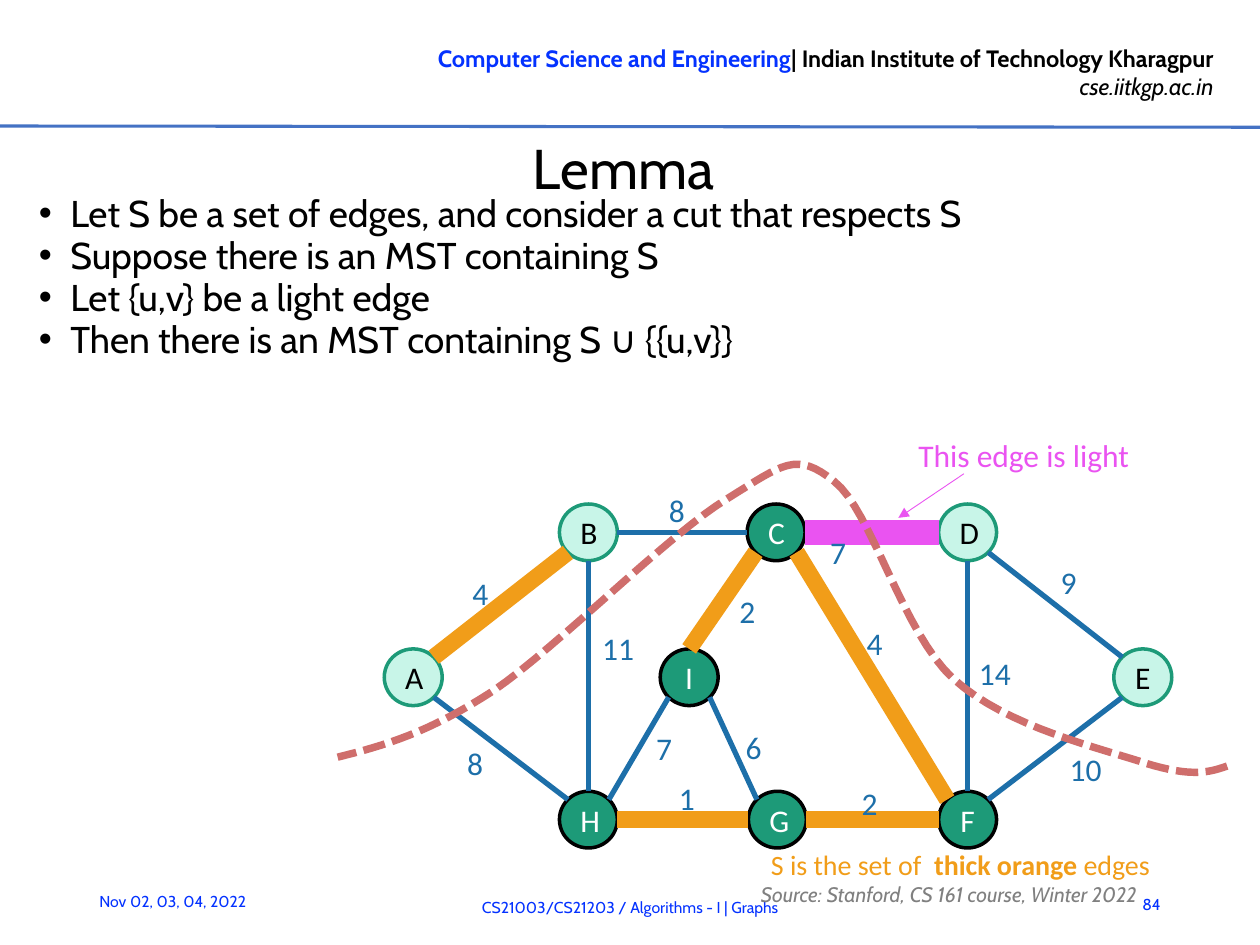
import math
from collections import namedtuple
from dataclasses import dataclass
from itertools import pairwise

from lxml import etree
from pptx import Presentation, util as u
from pptx.dml.color import RGBColor
from pptx.enum import dml, shapes, text
from pptx.oxml.ns import qn

Box = namedtuple("Box", "left top width height")
ALIGN, ANCHOR = text.PP_ALIGN, text.MSO_ANCHOR


@dataclass(frozen=True)
class Theme:
    body_font: str = "Cabin"
    graph_font: str = "Calibri"
    black: str = "000000"
    white: str = "FFFFFF"
    grey: str = "808080"
    blue: str = "0432FF"
    rule: str = "4472C4"
    green: str = "1D9A78"
    mint: str = "C8F5E8"
    edge: str = "1D6FA9"
    chosen: str = "F19D19"
    light: str = "EA53F1"
    cut: str = "CF6E6C"
    title: float = 32
    bullet: float = 21.3
    graph: float = 18
    legend: float = 16
    header: float = 13.5
    source: float = 12
    footer: float = 9


THEME = Theme()
NODE_WIDTH, NODE_HEIGHT = 0.46, 0.45
ROWS = (0.6, 1.75, 2.88)
# name: left, row, whether it lies below the cut
NODES = {
    "A": (0.37, 1, False), "B": (1.76, 0, False), "C": (3.25, 0, True),
    "D": (4.77, 0, False), "E": (6.16, 1, False), "F": (4.77, 2, True),
    "G": (3.26, 2, True), "H": (1.76, 2, True), "I": (2.56, 1, True),
}
EDGE_STYLES = {"plain": (THEME.edge, 3), "chosen": (THEME.chosen, 9.5),
               "light": (THEME.light, 14)}
# ends, weight, style, left and top of the weight
EDGES = [
    ("CF", 4, "chosen", 4.1, 1.5), ("CD", 7, "light", 3.81, 0.78),
    ("ED", 9, "plain", 5.64, 1.02), ("EF", 10, "plain", 5.71, 2.5),
    ("DF", 14, "plain", 4.99, 1.74), ("IG", 6, "plain", 3.14, 2.33),
    ("GF", 2, "chosen", 4.06, 2.77), ("IC", 2, "chosen", 3.09, 1.25),
    ("BC", 8, "plain", 2.53, 0.45), ("AB", 4, "chosen", 0.97, 1.11),
    ("AH", 8, "plain", 0.93, 2.46), ("GH", 1, "chosen", 2.61, 2.73),
    ("IH", 7, "plain", 2.43, 2.34), ("HB", 11, "plain", 2, 1.54),
]
# start point, then two control points and an end point for each curve
CUT = [(7.06, 2.68), (6.92, 2.73), (6.78, 2.77), (6.42, 2.66),
       (6.06, 2.54), (5.31, 2.37), (4.89, 1.99),
       (4.48, 1.62), (4.24, 0.65), (3.94, 0.42),
       (3.64, 0.18), (3.54, 0.28), (3.09, 0.56),
       (2.64, 0.83), (1.75, 1.73), (1.24, 2.08),
       (0.72, 2.42), (0.36, 2.52), (0, 2.61)]


def inches(values):
    return [u.Inches(value) for value in values]


def add_span(para, words, size, color, font=THEME.body_font, bold=False, italic=False):
    span = para.add_run()
    span.text = words
    span.font.size, span.font.name = u.Pt(size), font
    span.font.bold, span.font.italic = bold, italic
    span.font.color.rgb = RGBColor.from_string(color)


def add_text(page, box, anchor=ANCHOR.TOP, align=ALIGN.LEFT):
    """Add a wrapping text box and return its frame and first paragraph."""
    frame = page.shapes.add_textbox(*inches(box)).text_frame
    frame.word_wrap, frame.vertical_anchor = True, anchor
    frame.paragraphs[0].alignment = align
    return frame, frame.paragraphs[0]


def add_line(page, start, end, color, width):
    line = page.shapes.add_connector(shapes.MSO_CONNECTOR.STRAIGHT, *inches(start + end))
    line.line.color.rgb = RGBColor.from_string(color)
    line.line.width = u.Pt(width)
    etree.SubElement(line._element.spPr, qn("a:effectLst"))
    return line


def add_header(page, box):
    frame, para = add_text(page, box, align=ALIGN.RIGHT)
    frame.word_wrap = False
    add_span(para, "Computer Science and Engineering", THEME.header, THEME.blue, bold=True)
    add_span(para, "| Indian Institute of Technology Kharagpur", THEME.header, THEME.black,
             bold=True)
    para = frame.add_paragraph()
    para.alignment = ALIGN.RIGHT
    add_span(para, "cse.iitkgp.ac.in", THEME.header, THEME.black, italic=True)
    add_line(page, (0, 1), (10, 1.01), THEME.rule, 1.75)


def add_title(page, box, words):
    title = page.shapes.title
    title.left, title.top, title.width, title.height = inches(box)
    frame = title.text_frame
    frame.margin_left = frame.margin_right = frame.margin_bottom = 0
    frame.margin_top = u.Inches(0.01)
    frame.vertical_anchor = ANCHOR.MIDDLE
    para = frame.paragraphs[0]
    para.alignment, para.space_before = ALIGN.CENTER, u.Pt(0.7)
    add_span(para, words, THEME.title, THEME.black)


def add_bullets(page, box, lines):
    frame, para = add_text(page, box)
    for number, words in enumerate(lines):
        para = frame.add_paragraph() if number else para
        para.line_spacing = u.Pt(20)
        para.space_before = para.space_after = u.Pt(2)
        props = para._p.get_or_add_pPr()
        props.set("marL", str(u.Inches(0.25)))
        props.set("indent", str(u.Inches(-0.25)))
        etree.SubElement(props, qn("a:buFont"), typeface="Arial")
        etree.SubElement(props, qn("a:buChar"), char="•")
        add_span(para, words, THEME.bullet, THEME.black)


def add_node(page, box, name, below_cut):
    node = page.shapes.add_shape(shapes.MSO_SHAPE.OVAL, *inches(box))
    node.shadow.inherit = False
    fill, outline, ink = ((THEME.green, THEME.black, THEME.white) if below_cut
                          else (THEME.mint, THEME.green, THEME.black))
    node.fill.solid()
    node.fill.fore_color.rgb = RGBColor.from_string(fill)
    node.line.color.rgb = RGBColor.from_string(outline)
    node.line.width = u.Pt(2)
    node.text_frame.vertical_anchor = ANCHOR.MIDDLE
    para = node.text_frame.paragraphs[0]
    para.alignment = ALIGN.CENTER
    add_span(para, name, THEME.graph, ink, THEME.graph_font)


def rim_point(node, other, step=math.pi / 4):
    """Point on the node's rim, at the multiple of step nearest to the other node."""
    x, y = node.left + node.width / 2, node.top + node.height / 2
    angle = math.atan2(other.top - node.top, other.left - node.left)
    angle = round(angle / step) * step
    return x + node.width / 2 * math.cos(angle), y + node.height / 2 * math.sin(angle)


def curve_points(knots, steps=16):
    """Points along a chain of cubic Bézier curves."""
    points = [knots[0]]
    for first in range(0, len(knots) - 1, 3):
        for step in range(1, steps + 1):
            t = step / steps
            weights = ((1 - t) ** 3, 3 * t * (1 - t) ** 2, 3 * t * t * (1 - t), t ** 3)
            points.append(tuple(sum(w * knot[axis] for w, knot in
                                    zip(weights, knots[first:first + 4])) for axis in (0, 1)))
    return points


def add_cut(page, box):
    points = [inches((box.left + x, box.top + y)) for x, y in curve_points(CUT)]
    builder = page.shapes.build_freeform(*points[0])
    builder.add_line_segments(points[1:], close=False)
    cut = builder.convert_to_shape()
    cut.shadow.inherit = False
    cut.fill.background()
    cut.line.color.rgb = RGBColor.from_string(THEME.cut)
    cut.line.width = u.Pt(4.25)
    cut.line.dash_style = dml.MSO_LINE.SQUARE_DOT


def add_graph(page, box):
    def label(x, y, width, words, color):
        para = add_text(page, Box(box.left + x, box.top + y, width, 0.37))[1]
        add_span(para, words, THEME.graph, color, THEME.graph_font)

    places = {}
    for name, (x, row, below_cut) in NODES.items():
        places[name] = Box(box.left + x, box.top + ROWS[row], NODE_WIDTH, NODE_HEIGHT)
        add_node(page, places[name], name, below_cut)
    for ends, _, style, _, _ in EDGES:
        start, end = (places[name] for name in ends)
        step = math.pi / 2 if ends == "IC" else math.pi / 4
        add_line(page, rim_point(start, end, step), rim_point(end, start), *EDGE_STYLES[style])
    for _, weight, _, x, y in EDGES:
        label(x, y, 0.65, str(weight), THEME.edge)
    add_cut(page, box)
    label(4.51, 0.01, 2.73, "This edge is light", THEME.light)
    arrow = add_line(page, (box.left + 4.97, box.top + 0.36),
                     (box.left + 4.45, box.top + 0.71), THEME.light, 0.5)
    etree.SubElement(arrow.line._get_or_add_ln(), qn("a:tailEnd"), type="triangle")


def add_legend(page, box):
    para = add_text(page, box)[1]
    for words, bold in (("S is the set of  ", False), ("thick orange ", True), ("edges", False)):
        add_span(para, words, THEME.legend, THEME.chosen, THEME.graph_font, bold)


def add_footer(page, box):
    parts = [(Box(0.69, 0.17, 1.75, 0.4), ALIGN.LEFT, "Nov 02, 03, 04, 2022 "),
             (Box(1.65, 0.07, 6.7, 0.4), ALIGN.CENTER,
              "CS21003/CS21203 / Algorithms - I | Graphs"),
             (Box(8.82, 0.05, 0.49, 0.4), ALIGN.RIGHT, "84")]
    for part, align, words in parts:
        place = part._replace(left=box.left + part.left, top=box.top + part.top)
        para = add_text(page, place, ANCHOR.MIDDLE, align)[1]
        add_span(para, words, THEME.footer, THEME.blue)
        if align == ALIGN.LEFT:
            para.add_line_break()
    para = add_text(page, Box(box.left + 5.94, box.top, 4.02, 0.23), ANCHOR.MIDDLE)[1]
    para.line_spacing = u.Pt(21.3)
    add_span(para, "Source: Stanford, CS 161 course, Winter 2022", THEME.source, THEME.grey,
             italic=True)


def main():
    deck = Presentation()
    deck.slide_width, deck.slide_height = u.Inches(10), u.Inches(7.5)
    page = deck.slides.add_slide(deck.slide_layouts.get_by_name("Title Only"))
    add_header(page, Box(2.65, 0.3, 7.08, 0.56))
    add_title(page, Box(0.32, 1.05, 9.26, 0.55), "Lemma")
    add_bullets(page, Box(0.21, 1.54, 9.37, 1.44), [
        "Let S be a set of edges, and consider a cut that respects S",
        "Suppose there is an MST containing S",
        "Let {u,v} be a light edge",
        "Then there is an MST containing S ∪ {{u,v}}",
    ])
    add_graph(page, Box(2.68, 3.4, 7.24, 3.33))
    add_legend(page, Box(6.02, 6.68, 3.65, 0.37))
    add_footer(page, Box(0, 6.93, 10, 0.57))
    deck.save("out.pptx")


if __name__ == "__main__":
    main()
